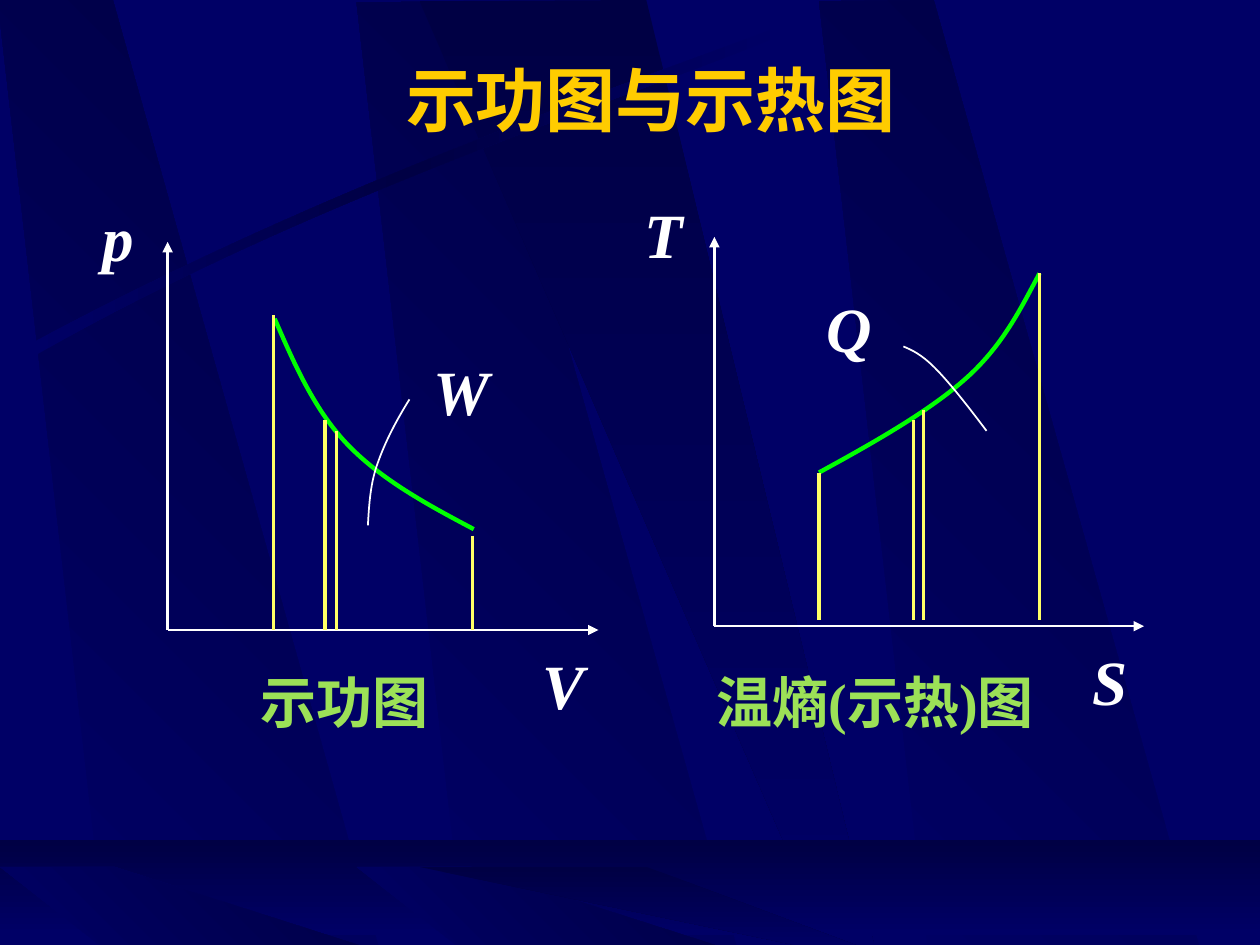
import copy
import pptx
import pptx.util
import pptx.dml.color
import pptx.enum.shapes
import pptx.enum.text
import pptx.oxml
import pptx.oxml.ns
from pptx.util import Inches

RGB = pptx.dml.color.RGBColor.from_string
FONT = "Times New Roman"
SPACE = pptx.oxml.ns.nsdecls("a")
HUES = {"night": "000066", "shade": "000044", "gold": "FFCC00", "white": "FFFFFF",
        "curve": "00FF00", "bar": "FFFF66", "name": "9CE157"}


def trace(points, kinds="", close=False):
    """Freeform in inches; kinds gives C (curve, 3 points) or L (line, 1 point) in order."""
    spots = [(Inches(x), Inches(y)) for x, y in points]
    pen = slide.shapes.build_freeform(*spots[0])
    pen.add_line_segments(spots[1:], close=close)
    shape = pen.convert_to_shape()
    shape.shadow.inherit = False
    legs = list(shape._element.iter(pptx.oxml.ns.qn("a:lnTo")))
    for kind in kinds:
        count = 3 if kind == "C" else 1
        group, legs = legs[:count], legs[count:]
        if kind == "C":
            arc = pptx.oxml.parse_xml(f"<a:cubicBezTo {SPACE}/>")
            group[0].addprevious(arc)
            for leg in group:
                arc.append(leg[0])
                leg.getparent().remove(leg)
    return shape


deck = pptx.Presentation()
deck.slide_width, deck.slide_height = Inches(10), Inches(7.5)
slide = deck.slides.add_slide(deck.slide_layouts[5])
slide.background.fill.solid()
slide.background.fill.fore_color.rgb = RGB(HUES["night"])

# Backdrop on the master: slanted beams, a streak, and a floor with squashed beams
beam = [(0.86, 7.5), (3.02, 7.52), (0.91, 0), (0, 0.01)]
fan = [(0, 0.01), (3.25, 7.51), (3.61, 7.51), (1.8, 0)]
streak = [(0.2, 2.75), (2.84, 1.34), (5.24, 0.59), (6.26, 0.18),
          (6.29, 0.24), (5.28, 0.69), (2.54, 1.51), (0.23, 2.85)]
floor = "floor"
rise, fall = ("night", "shade", 45), ("shade", "night", 270)
tree = deck.slide_master.shapes._spTree
for order, (outline, left, top, scale, (first, last, angle)) in enumerate([
        (beam, 2.83, 0.01, 1, rise), (beam, -0.02, -0.02, 1, rise),
        (beam, 6.5, 0, 1, rise), (fan, 3.33, 0, 1, fall),
        (streak, 0, 0, 1, ("night", "shade", 0)), (floor, 0, 6.67, 1, fall),
        (beam, 2.83, 6.88, 0.09, rise), (beam, 0, 6.88, 0.09, rise),
        (fan, 3.33, 6.88, 0.09, fall)]):
    if outline is floor:
        shape = slide.shapes.add_shape(pptx.enum.shapes.MSO_SHAPE.RECTANGLE,
                                       0, Inches(top), Inches(10), Inches(0.75))
        shape.shadow.inherit = False
    else:
        shape = trace([(left + x, top + y * scale) for x, y in outline],
                      "CLC" if outline is streak else "", True)
    shape.line.fill.background()
    shape.fill.gradient()
    shape.fill.gradient_angle = angle
    stops = shape.fill.gradient_stops
    for stop, hue, place in zip(stops, (first, last), (0, 1)):
        stop.color.rgb = RGB(HUES[hue])
        stop.position = place
    if outline is streak:
        stops[1].position = 0.5
        row = shape.fill._fill._gradFill.gsLst
        row.append(copy.deepcopy(row[0]))
        shape.fill.gradient_stops[2].position = 1
    shape._element.nvSpPr.cNvPr.set("id", str(100 + order))
    tree.insert(2 + order, shape._element)

# Title
title = slide.shapes.title
title.left, title.top = Inches(0.58), Inches(0.4)
title.width, title.height = Inches(9.17), Inches(0.77)
title.text_frame.text = "示功图与示热图"
title.text_frame.vertical_anchor = pptx.enum.text.MSO_ANCHOR.MIDDLE
line = title.text_frame.paragraphs[0]
line.alignment = pptx.enum.text.PP_ALIGN.CENTER
line.font.name, line.font.size, line.font.bold = FONT, pptx.util.Pt(40), True
line.font.color.rgb = RGB(HUES["gold"])

# Two diagrams: axes, curve, bars as (x, top), leader
plots = [
    dict(left=1.33, base=5, top=1.92, right=4.75, foot=5,
         curve=[(2.18, 2.53), (2.34, 2.9), (2.5, 3.26), (2.76, 3.53),
                (3.03, 3.81), (3.4, 4.01), (3.76, 4.2)],
         bars=[(2.58, 3.33), (2.67, 3.42), (3.75, 4.25), (2.17, 2.5)],
         leader=[(3.25, 3.17), (3.15, 3.33), (3.06, 3.5), (3, 3.67),
                 (2.94, 3.83), (2.93, 4), (2.92, 4.17)]),
    dict(left=5.67, base=4.97, top=1.88, right=9.08, foot=4.92,
         curve=[(6.5, 3.75), (6.94, 3.51), (7.38, 3.26), (7.67, 3),
                (7.96, 2.74), (8.1, 2.45), (8.25, 2.17)],
         bars=[(6.5, 3.75), (7.25, 3.33), (7.33, 3.25), (8.25, 2.17)],
         leader=[(7.83, 3.42), (7.68, 3.22), (7.53, 3.03), (7.42, 2.92),
                 (7.31, 2.81), (7.24, 2.78), (7.17, 2.75)]),
]
for plot in plots:
    left, base = plot["left"], plot["base"]
    for points, hue, width in [(plot["curve"], "curve", 2.5), (plot["leader"], "white", 1)]:
        shape = trace(points, "CC")
        shape.fill.background()
        shape.line.color.rgb = RGB(HUES[hue])
        shape.line.width = pptx.util.Pt(width)
    rods = [(left, base, plot["right"], base, "white", 1.5),
            (left, base, left, plot["top"], "white", 1.5)]
    rods += [(x, y, x, plot["foot"], "bar", 2) for x, y in plot["bars"]]
    for ax, ay, bx, by, hue, width in rods:
        rod = slide.shapes.add_connector(
            pptx.enum.shapes.MSO_CONNECTOR.STRAIGHT,
            Inches(ax), Inches(ay), Inches(bx), Inches(by))
        rod.line.color.rgb = RGB(HUES[hue])
        rod.line.width = pptx.util.Pt(width)
        if hue == "white":
            tip = pptx.oxml.parse_xml(f'<a:tailEnd {SPACE} type="triangle"/>')
            rod.line._get_or_add_ln().append(tip)
        rod._element.spPr.append(pptx.oxml.parse_xml(f"<a:effectLst {SPACE}/>"))

# Axis letters, area letters and captions
for text, left, top, width, height, size, hue in [
        ("p", 0.71, 1.53, 0.45, 0.7, 36, "white"),
        ("V", 4.21, 5.08, 0.53, 0.7, 36, "white"),
        ("W", 3.34, 2.75, 0.64, 0.7, 36, "white"),
        ("T", 5.02, 1.5, 0.5, 0.7, 36, "white"),
        ("S", 8.57, 5.05, 0.48, 0.7, 36, "white"),
        ("Q", 6.46, 2.25, 0.56, 0.7, 36, "white"),
        ("示功图", 1.65, 5.25, 2.17, 0.64, 32, "name"),
        ("温熵(示热)图", 5.37, 5.25, 3.15, 0.64, 32, "name")]:
    box = slide.shapes.add_textbox(Inches(left), Inches(top), Inches(width), Inches(height))
    frame = box.text_frame
    frame.text = text
    frame.word_wrap = text == "示功图"
    frame.auto_size = pptx.enum.text.MSO_AUTO_SIZE.SHAPE_TO_FIT_TEXT
    line = frame.paragraphs[0]
    line.alignment = pptx.enum.text.PP_ALIGN.CENTER
    line.font.name, line.font.size = FONT, pptx.util.Pt(size)
    line.font.bold, line.font.italic = True, hue == "white"
    line.font.color.rgb = RGB(HUES[hue])

deck.save("out.pptx")
